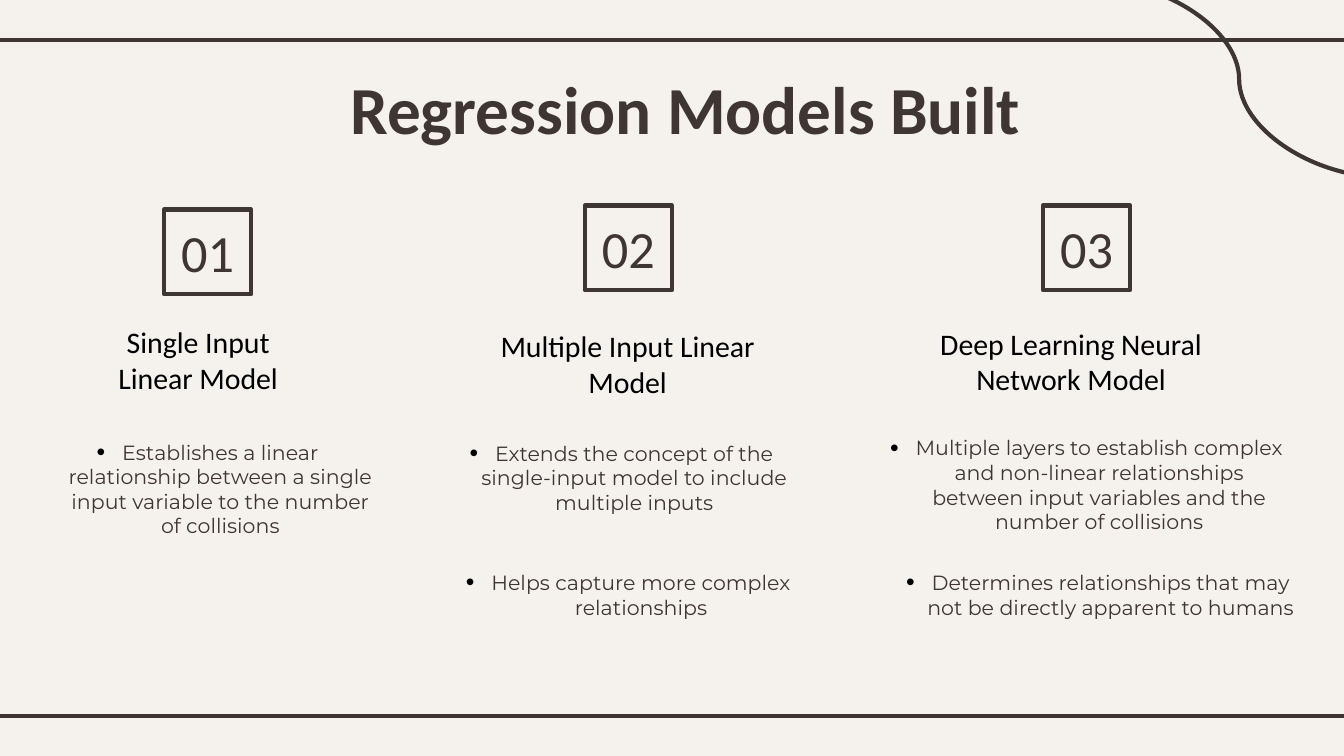
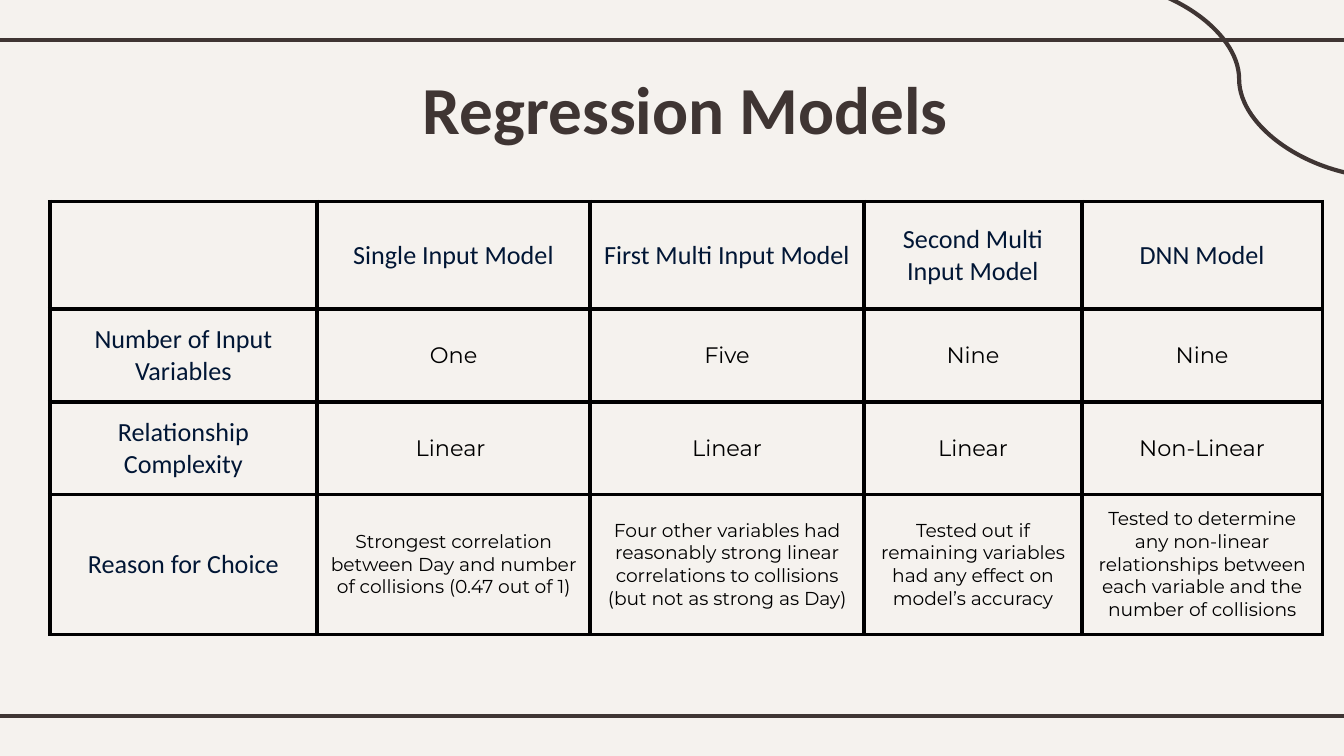
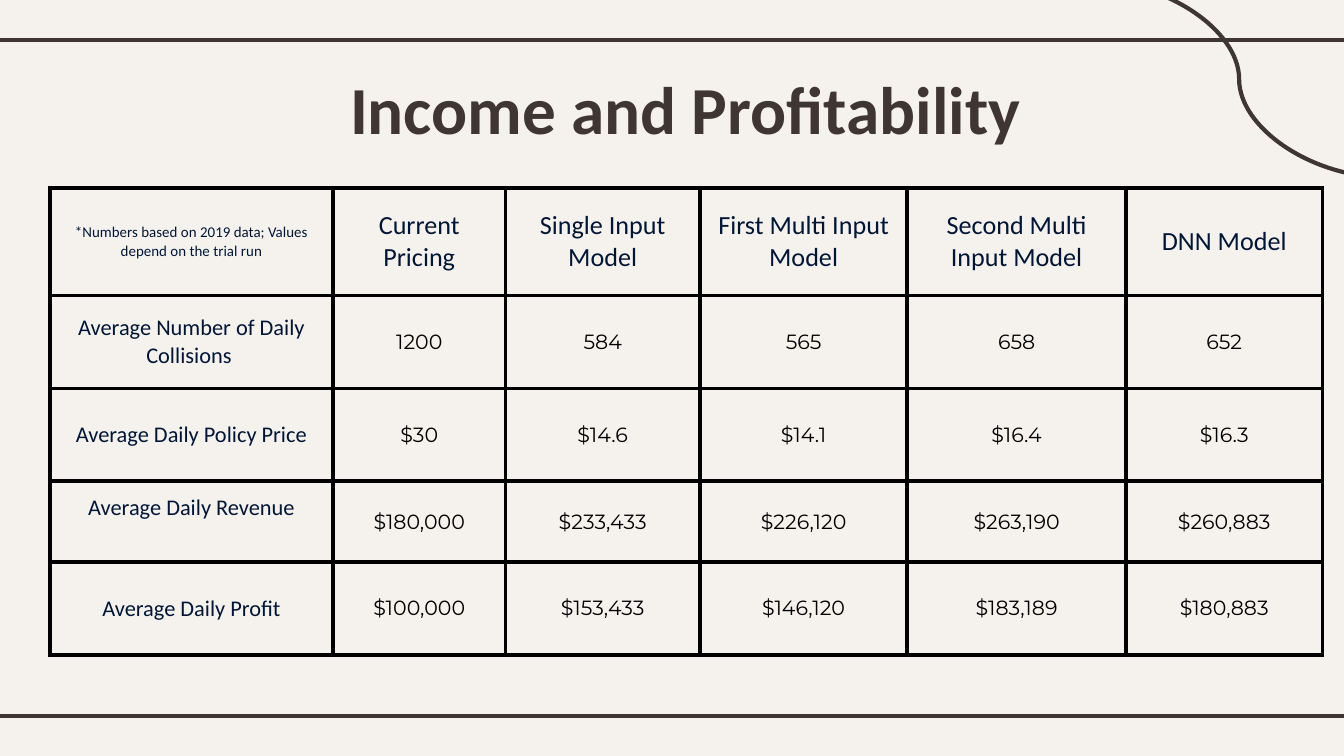
"""Build three slides that describe and compare the regression models."""
from copy import deepcopy
from dataclasses import dataclass
from typing import Any, NamedTuple

from lxml.etree import SubElement
from pptx import Presentation
from pptx.dml.color import RGBColor
from pptx.enum.shapes import MSO_CONNECTOR as Connector
from pptx.enum.shapes import MSO_SHAPE as Preset
from pptx.enum.text import MSO_ANCHOR as Anchor
from pptx.enum.text import MSO_AUTO_SIZE as AutoSize
from pptx.enum.text import PP_ALIGN as Align
from pptx.oxml.ns import qn
from pptx.util import Inches, Pt


@dataclass(frozen=True)
class Theme:
    """Colours, fonts and type sizes of the deck."""
    paper: str = "F5F2EE"
    ink: str = "3F3533"
    navy: str = "011635"
    black: str = "000000"
    heading_font: str = "Calibri"
    body_font: str = "Montserrat"
    title_size: int = 36
    number_size: int = 28
    heading_size: int = 16
    list_size: int = 11
    head_size: int = 14
    label_size: int = 12
    value_size: int = 12
    figure_size: int = 11
    reason_size: int = 10
    note_size: int = 8
    stroke: float = 2.25


THEME = Theme()


class Style(NamedTuple):
    """Look of one run of text."""
    font: str
    size: int
    color: str
    bold: bool = False


class Area(NamedTuple):
    """Left, top, width and height in inches."""
    left: float
    top: float
    width: float
    height: float


class Line(NamedTuple):
    """A frame line from one point to another."""
    kind: Any
    start: tuple[float, float]
    end: tuple[float, float]


class Block(NamedTuple):
    """A piece of text and its place."""
    text: str
    area: Area


class Model(NamedTuple):
    """A model with its number box, heading and list items."""
    number: str
    corner: tuple[float, float]
    heading: Block
    items: tuple[Block, ...]


@dataclass(frozen=True)
class Grid:
    """A titled comparison table."""
    title: str
    top: float
    widths: tuple[float, ...]
    heights: tuple[float, ...]
    label_size: int
    value_sizes: tuple[int, ...]
    rows: tuple[tuple[str, ...], ...]
    raised_label: str = ""


TITLE = Style(THEME.heading_font, THEME.title_size, THEME.ink, True)
NUMBER = Style(THEME.heading_font, THEME.number_size, THEME.ink)
HEADING = Style(THEME.heading_font, THEME.heading_size, THEME.black)
ITEM = Style(THEME.body_font, THEME.list_size, THEME.ink)

PAGE_WIDTH = Inches(10)
PAGE_HEIGHT = PAGE_WIDTH * 9 // 16
TITLE_AREA = Area(0.98, 0.4, 8.24, 0.74)
INSET = Inches(0.1)
INDENT = Inches(0.19)
TABLE_LEFT = 0.37
NUMBER_WIDTH, NUMBER_HEIGHT = 0.65, 0.63
FRAME = (
    Line(Connector.STRAIGHT, (-0.08, 0.3), (10.08, 0.3)),
    Line(Connector.STRAIGHT, (-0.08, 5.33), (10.08, 5.33)),
    Line(Connector.CURVE, (8.13, -0.14), (10.31, 1.32)),
)
MARGINS = {f"margin_{side}": INSET for side in ("left", "top", "right", "bottom")}
FRAME_FORMAT = {**MARGINS, "word_wrap": True, "auto_size": AutoSize.NONE}
PARA_FORMAT = {"alignment": Align.CENTER, "line_spacing": 1.0,
               "space_before": Pt(0), "space_after": Pt(0)}

MODELS = (
    Model("01", (1.22, 1.56),
          Block("Single Input Linear Model", Area(0.66, 2.31, 1.63, 0.54)), (
              Block("Establishes a linear relationship between a single input variable "
                    "to the number of collisions", Area(0.2, 3.17, 2.69, 0.87)),)),
    Model("02", (4.35, 1.53),
          Block("Multiple Input Linear Model", Area(3.57, 2.34, 2.2, 0.57)), (
              Block("Extends the concept of the single-input model to include multiple "
                    "inputs", Area(3.28, 3.18, 2.69, 0.74)),
              Block("Helps capture more complex relationships",
                    Area(3.33, 4.14, 2.69, 0.74)))),
    Model("03", (7.76, 1.53),
          Block("Deep Learning Neural Network Model", Area(6.81, 2.32, 2.32, 0.54)), (
              Block("Multiple layers to establish complex and non-linear relationships "
                    "between input variables and the number of collisions",
                    Area(6.46, 3.14, 3.25, 0.93)),
              Block("Determines relationships that may not be directly apparent to humans",
                    Area(6.6, 4.14, 3.14, 0.74)))),
)

MODEL_NAMES = ("Single Input Model", "First Multi Input Model",
               "Second Multi Input Model", "DNN Model")
GRIDS = (
    Grid("Regression Models", 1.5, (1.99, 2.03, 2.04, 1.62, 1.79),
         (0.8, 0.69, 0.69, 1.03), THEME.head_size,
         (THEME.value_size, THEME.value_size, THEME.reason_size), (
             ("", *MODEL_NAMES),
             ("Number of Input Variables", "One", "Five", "Nine", "Nine"),
             ("Relationship Complexity", "Linear ", "Linear", "Linear", "Non-Linear"),
             ("Reason for Choice",
              "Strongest correlation between Day and number of collisions (0.47 out of 1)",
              "Four other variables had reasonably strong linear correlations to "
              "collisions (but not as strong as Day)",
              "Tested out if remaining variables had any effect on model’s accuracy",
              "Tested to determine any non-linear relationships between each variable "
              "and the number of collisions"))),
    Grid("Income and Profitability", 1.4, (2.11, 1.28, 1.45, 1.54, 1.63, 1.46),
         (0.8, 0.69, 0.69, 0.6, 0.69), THEME.label_size, (THEME.figure_size,) * 4, (
             ("*Numbers based on 2019 data; Values depend on the trial run",
              "Current Pricing", *MODEL_NAMES),
             ("Average Number of Daily Collisions ", "1200", "584", "565", "658", "652"),
             ("Average Daily Policy Price", "$30", "$14.6", "$14.1", "$16.4", "$16.3"),
             ("Average Daily Revenue",
              "$180,000", "$233,433", "$226,120", "$263,190", "$260,883"),
             ("Average Daily Profit",
              "$100,000", "$153,433", "$146,120", "$183,189", "$180,883")),
         raised_label="Average Daily Revenue"),
)


def apply(target: Any, values: dict[str, Any]) -> None:
    """Set every named attribute on the target."""
    for name, value in values.items():
        setattr(target, name, value)


def rgb(color: str) -> RGBColor:
    """Turn a hex string into a colour."""
    return RGBColor.from_string(color)


def place(shape: Any, area: Area) -> None:
    """Move and size a shape."""
    apply(shape, {name: Inches(value) for name, value in area._asdict().items()})


def write(frame: Any, text: str, style: Style) -> Any:
    """Put one styled, centred paragraph in a text frame."""
    para = frame.paragraphs[0]
    apply(para, PARA_FORMAT)
    span = para.add_run()
    span.text = text
    apply(span.font, {"name": style.font, "size": Pt(style.size), "bold": style.bold})
    span.font.color.rgb = rgb(style.color)
    return para


def fill_placeholder(shape: Any, block: Block, style: Style) -> Any:
    """Place a placeholder and write its text from the top."""
    place(shape, block.area)
    apply(shape.text_frame, {**FRAME_FORMAT, "vertical_anchor": Anchor.TOP})
    return write(shape.text_frame, block.text, style)


def set_bullet(para: Any, bulleted: bool) -> None:
    """Give a paragraph a black round bullet, or none."""
    props = para._p.get_or_add_pPr()
    indent = INDENT if bulleted else 0
    props.set("marL", str(indent))
    props.set("indent", str(-indent))
    if not bulleted:
        SubElement(props, qn("a:buNone"))
        return
    SubElement(SubElement(props, qn("a:buClr")), qn("a:srgbClr"), val=THEME.black)
    SubElement(props, qn("a:buSzPct"), val="120000")
    SubElement(props, qn("a:buChar"), char="•")


def set_borders(cell: Any) -> None:
    """Draw a black line on all four sides of a cell."""
    props = cell._tc.get_or_add_tcPr()
    for index, side in enumerate(("lnL", "lnR", "lnT", "lnB")):
        border = SubElement(props, qn(f"a:{side}"), w=str(Pt(THEME.stroke)))
        solid = SubElement(border, qn("a:solidFill"))
        SubElement(solid, qn("a:srgbClr"), val=THEME.black)
        props.insert(index, border)


def add_frame(deck: Any, page: Any) -> None:
    """Draw the frame lines and move them to the slide master."""
    for number, line in enumerate(FRAME, start=20):
        ends = (Inches(value) for value in (*line.start, *line.end))
        connector = page.shapes.add_connector(line.kind, *ends)
        connector.line.color.rgb = rgb(THEME.ink)
        connector.line.width = Pt(THEME.stroke)
        SubElement(connector.element.spPr, qn("a:effectLst"))
        connector.element.nvCxnSpPr.cNvPr.set("id", str(number))
        deck.slide_master.shapes.element.append(connector.element)


def add_bodies(layout: Any, total: int) -> None:
    """Repeat the layout's body placeholder until there are enough."""
    body = layout.placeholders[1].element
    for index in range(20, 19 + total):
        twin = deepcopy(body)
        twin.xpath(".//p:cNvPr")[0].set("id", str(index))
        twin.xpath(".//p:ph")[0].set("idx", str(index))
        layout.shapes.element.append(twin)


def add_page(deck: Any, layout: Any, title: str) -> Any:
    """Add a slide with its title."""
    page = deck.slides.add_slide(layout)
    fill_placeholder(page.shapes.title, Block(title, TITLE_AREA), TITLE)
    return page


def add_number(page: Any, model: Model) -> None:
    """Draw the outlined box with the model's number."""
    box = page.shapes.add_shape(Preset.RECTANGLE, 0, 0, 0, 0)
    place(box, Area(*model.corner, NUMBER_WIDTH, NUMBER_HEIGHT))
    box.shadow.inherit = False
    box.fill.solid()
    box.fill.fore_color.rgb = rgb(THEME.paper)
    box.line.color.rgb = rgb(THEME.ink)
    box.line.width = Pt(THEME.stroke)
    apply(box.text_frame, {**FRAME_FORMAT, "word_wrap": False,
                           "vertical_anchor": Anchor.MIDDLE})
    write(box.text_frame, model.number, NUMBER)


def add_models(deck: Any) -> Any:
    """Build the slide that lists the models."""
    layout = deck.slide_layouts[1]
    add_bodies(layout, sum(1 + len(model.items) for model in MODELS))
    page = add_page(deck, layout, "Regression Models Built")
    bodies = iter([shape for shape in page.placeholders
                   if shape.placeholder_format.idx > 0])
    for model in MODELS:
        add_number(page, model)
        set_bullet(fill_placeholder(next(bodies), model.heading, HEADING), False)
        for item in model.items:
            set_bullet(fill_placeholder(next(bodies), item, ITEM), True)
    return page


def cell_style(grid: Grid, row: int, column: int) -> Style:
    """Choose the style for a cell by its row and column."""
    if row and column:
        return Style(THEME.body_font, grid.value_sizes[row - 1], THEME.black)
    size = grid.label_size if row else THEME.head_size if column else THEME.note_size
    return Style(THEME.heading_font, size, THEME.navy)


def add_grid(deck: Any, grid: Grid) -> None:
    """Build a slide with a comparison table."""
    page = add_page(deck, deck.slide_layouts[5], grid.title)
    area = Area(TABLE_LEFT, grid.top, sum(grid.widths), sum(grid.heights))
    table = page.shapes.add_table(len(grid.rows), len(grid.widths),
                                  *(Inches(value) for value in area)).table
    apply(table, {"first_row": False, "horz_banding": False})
    for column, width in zip(table.columns, grid.widths):
        column.width = Inches(width)
    for row, height in zip(table.rows, grid.heights):
        row.height = Inches(height)
    for row, texts in enumerate(grid.rows):
        for column, text in enumerate(texts):
            cell = table.cell(row, column)
            apply(cell, {**MARGINS, "vertical_anchor": Anchor.MIDDLE})
            cell.fill.background()
            set_borders(cell)
            if text:
                write(cell.text_frame, text, cell_style(grid, row, column))
            if text and text == grid.raised_label:
                cell.margin_bottom = Inches(0.3)


def main() -> None:
    """Build and save the deck."""
    deck = Presentation()
    apply(deck, {"slide_width": PAGE_WIDTH, "slide_height": PAGE_HEIGHT})
    backdrop = deck.slide_master.background.fill
    backdrop.solid()
    backdrop.fore_color.rgb = rgb(THEME.paper)
    add_frame(deck, add_models(deck))
    for grid in GRIDS:
        add_grid(deck, grid)
    deck.save("out.pptx")


if __name__ == "__main__":
    main()
